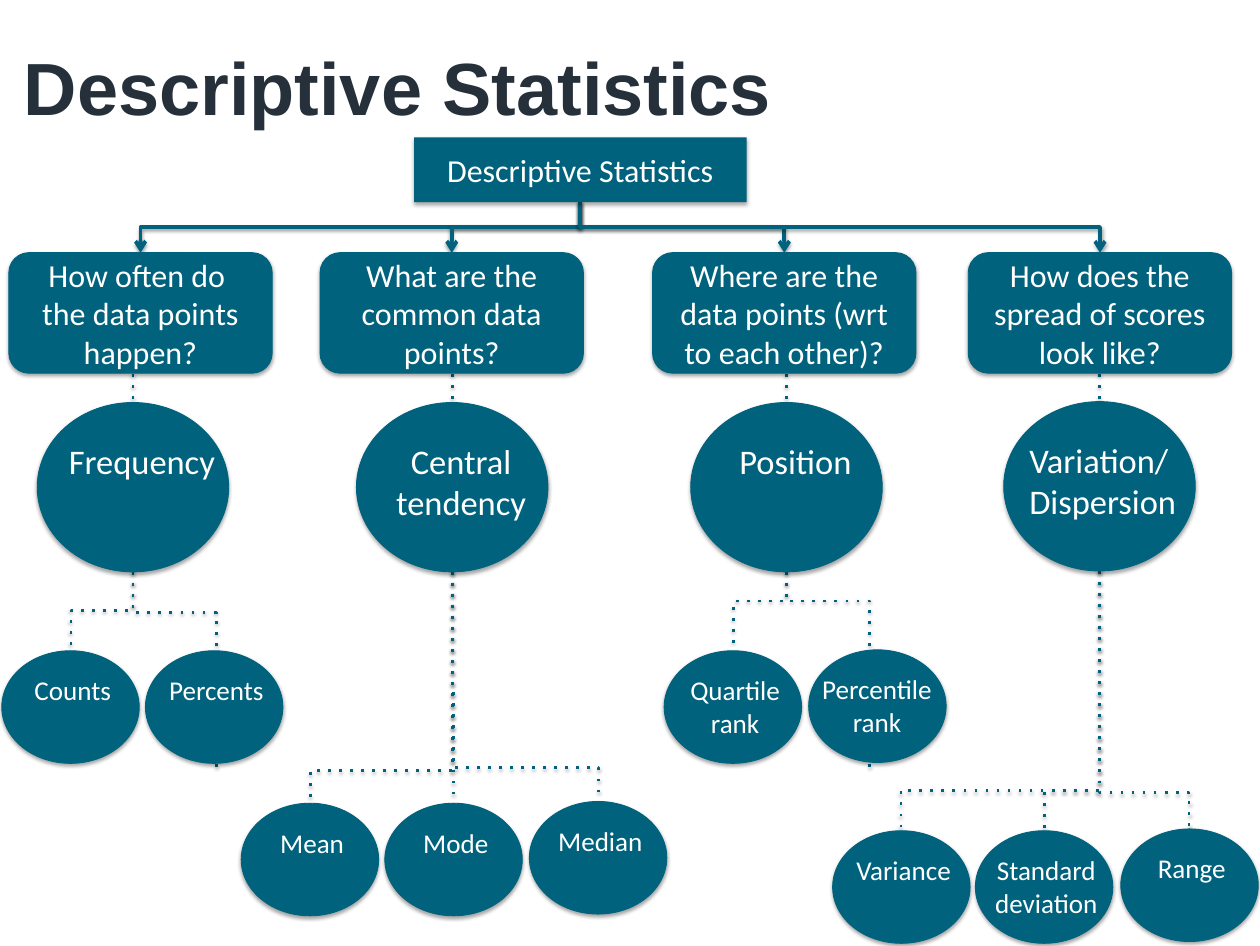
"""Build the Descriptive Statistics tree slide."""
from lxml.etree import SubElement
from pptx import Presentation
from pptx.dml.color import RGBColor
from pptx.enum.shapes import MSO_CONNECTOR, MSO_SHAPE
from pptx.enum.text import MSO_ANCHOR, PP_ALIGN
from pptx.oxml.ns import qn
from pptx.util import Inches, Pt

COLOURS = {"teal": "00627D", "title": "25303B", "white": "FFFFFF", "shadow": "000000"}
ROOT = (4.67, 1.55, 3.75, 0.73)
QUESTION_TOP, QUESTION_WIDTH, QUESTION_HEIGHT = 2.85, 2.97, 1.36
TOPIC_WIDTH, TOPIC_HEIGHT = 2.16, 1.91
MEASURE_WIDTH, MEASURE_HEIGHT = 1.55, 1.27
TRUNK_X, TRUNK_Y = 6.54, 2.27

# Each measure: label, left, top, bend height, link end x, link end y
BRANCHES = [
    ("How often do \vthe data points happen?", 0.1, "Frequency", 0.42, 4.54, PP_ALIGN.CENTER, [
        ("Counts", 0.02, 7.34, 6.89, 0.8, 7.34),
        ("Percents", 1.64, 7.34, 6.91, 2.44, 8.69)]),
    ("What are the common data points?", 3.61, "Central tendency", 4.02, 4.54, PP_ALIGN.CENTER, [
        ("Mean", 2.72, 9.06, 8.69, 3.5, 9.06),
        ("Mode", 4.34, 9.06, 7.75, 5.11, 9.06),
        ("Median", 5.97, 9.04, 8.66, 6.75, 9.04)]),
    ("Where are the data points (wrt to each other)?", 7.36, "Position", 7.79, 4.54, PP_ALIGN.CENTER, [
        ("Quartile rank", 7.49, 7.34, 6.78, 8.27, 7.34),
        ("Percentile rank", 9.12, 7.33, 6.78, 9.81, 8.69)]),
    ("How does the spread of scores look like?", 10.92, "Variation/ Dispersion", 11.32, 4.53, PP_ALIGN.LEFT, [
        ("Variance", 9.39, 9.37, 8.92, 10.16, 9.37),
        ("Standard deviation", 11, 9.37, 8.92, 11.78, 9.37),
        ("Range", 12.64, 9.35, 8.94, 13.41, 9.35)]),
]


def add_shadow(part, alpha, distance):
    effects = SubElement(part._element.spPr, qn("a:effectLst"))
    shadow = SubElement(effects, qn("a:outerShdw"), blurRad=str(Pt(3.1)), dist=str(Pt(distance)),
                        dir="5400000", rotWithShape="0")
    colour = SubElement(shadow, qn("a:srgbClr"), val=COLOURS["shadow"])
    SubElement(colour, qn("a:alpha"), val=str(alpha * 1000))


def write(part, text, size, align=PP_ALIGN.CENTER, anchor=MSO_ANCHOR.MIDDLE,
          face="Calibri", colour="white", bold=False):
    frame = part.text_frame
    frame.word_wrap = True
    frame.vertical_anchor = anchor
    frame.text = text
    paragraph = frame.paragraphs[0]
    paragraph.alignment = align
    for name, value in {"name": face, "size": Pt(size), "bold": bold}.items():
        setattr(paragraph.font, name, value)
    paragraph.font.color.rgb = RGBColor.from_string(COLOURS[colour])


presentation = Presentation()
presentation.slide_width, presentation.slide_height = Inches(14.21), Inches(10.67)
slide = presentation.slides.add_slide(presentation.slide_layouts[5])
shapes = slide.shapes

title = shapes.title
for side, length in {"left": 0.13, "top": 0.39, "width": 14.08, "height": 1.15}.items():
    setattr(title, side, Inches(length))
write(title, "Descriptive Statistics", 60, PP_ALIGN.LEFT, face="Arial", colour="title", bold=True)
for margin, length in {"left": 0.14, "top": 0.07, "right": 0.14, "bottom": 0.07}.items():
    setattr(title.text_frame, f"margin_{margin}", Inches(length))
title.text_frame.paragraphs[0].space_after = Pt(6)

links = []
nodes = [(MSO_SHAPE.RECTANGLE, ROOT, "Descriptive Statistics")]
labels = []
for question, question_x, topic, topic_x, topic_y, align, measures in BRANCHES:
    question_middle = question_x + QUESTION_WIDTH / 2
    topic_middle = topic_x + TOPIC_WIDTH / 2
    topic_bottom = topic_y + TOPIC_HEIGHT
    links.append((TRUNK_X, TRUNK_Y, question_middle, QUESTION_TOP, 2.56, True))
    links.append((topic_middle, 4.22, topic_middle, topic_y, None, False))
    nodes.append((MSO_SHAPE.ROUNDED_RECTANGLE,
                  (question_x, QUESTION_TOP, QUESTION_WIDTH, QUESTION_HEIGHT), question))
    nodes.append((MSO_SHAPE.OVAL, (topic_x, topic_y, TOPIC_WIDTH, TOPIC_HEIGHT), ""))
    labels.append((topic, topic_x + 0.19, topic_y + 0.37, 1.98, 1.04, 28, align))
    for measure, left, top, bend_y, end_x, end_y in measures:
        links.append((topic_middle, topic_bottom, end_x, end_y, bend_y, False))
        nodes.append((MSO_SHAPE.OVAL, (left, top, MEASURE_WIDTH, MEASURE_HEIGHT), ""))
        shift, width = (-0.03, 1.6) if measure == "Percentile rank" else (0.08, 1.44)
        labels.append((measure, left + shift, top + 0.21, width, 0.84, 22, PP_ALIGN.CENTER))

for start_x, start_y, end_x, end_y, bend_y, is_arrow in links:
    if bend_y is None:
        link = shapes.add_connector(MSO_CONNECTOR.STRAIGHT, Inches(start_x), Inches(start_y),
                                    Inches(end_x), Inches(end_y))
    else:
        drop, reach = end_y - start_y, abs(end_x - start_x)
        left = (start_x + end_x - drop) / 2
        top = (start_y + end_y - reach) / 2
        link = shapes.add_connector(MSO_CONNECTOR.ELBOW, Inches(left), Inches(top),
                                    Inches(left + drop), Inches(top + reach))
        properties = link._element.spPr
        turn = {"rot": "5400000"} if end_x < start_x else {"rot": "16200000", "flipH": "1"}
        for name, value in turn.items():
            properties.find(qn("a:xfrm")).set(name, value)
        adjustments = properties.find(qn("a:prstGeom")).find(qn("a:avLst"))
        bend = round((bend_y - start_y) / drop * 100000)
        SubElement(adjustments, qn("a:gd"), name="adj1", fmla=f"val {bend}")
    link.line.color.rgb = RGBColor.from_string(COLOURS["teal"])
    link.line.width = Pt(3 if is_arrow else 2.25)
    stroke = link.line._get_or_add_ln()
    if is_arrow:
        SubElement(stroke, qn("a:tailEnd"), type="arrow")
    else:
        SubElement(stroke, qn("a:prstDash"), val="dot")
    add_shadow(link, 38, 1.6)

for outline, box, text in nodes:
    node = shapes.add_shape(outline, *map(Inches, box))
    node.fill.solid()
    node.fill.fore_color.rgb = RGBColor.from_string(COLOURS["teal"])
    if outline == MSO_SHAPE.RECTANGLE:
        node.line.fill.background()
    else:
        node.line.color.rgb = RGBColor.from_string(COLOURS["teal"])
        node.line.width = Pt(0.75)
    add_shadow(node, 35, 1.8)
    if text:
        write(node, text, 26)

for text, left, top, width, height, size, align in labels:
    label = shapes.add_textbox(Inches(left), Inches(top), Inches(width), Inches(height))
    write(label, text, size, align, MSO_ANCHOR.TOP)

presentation.save("out.pptx")
